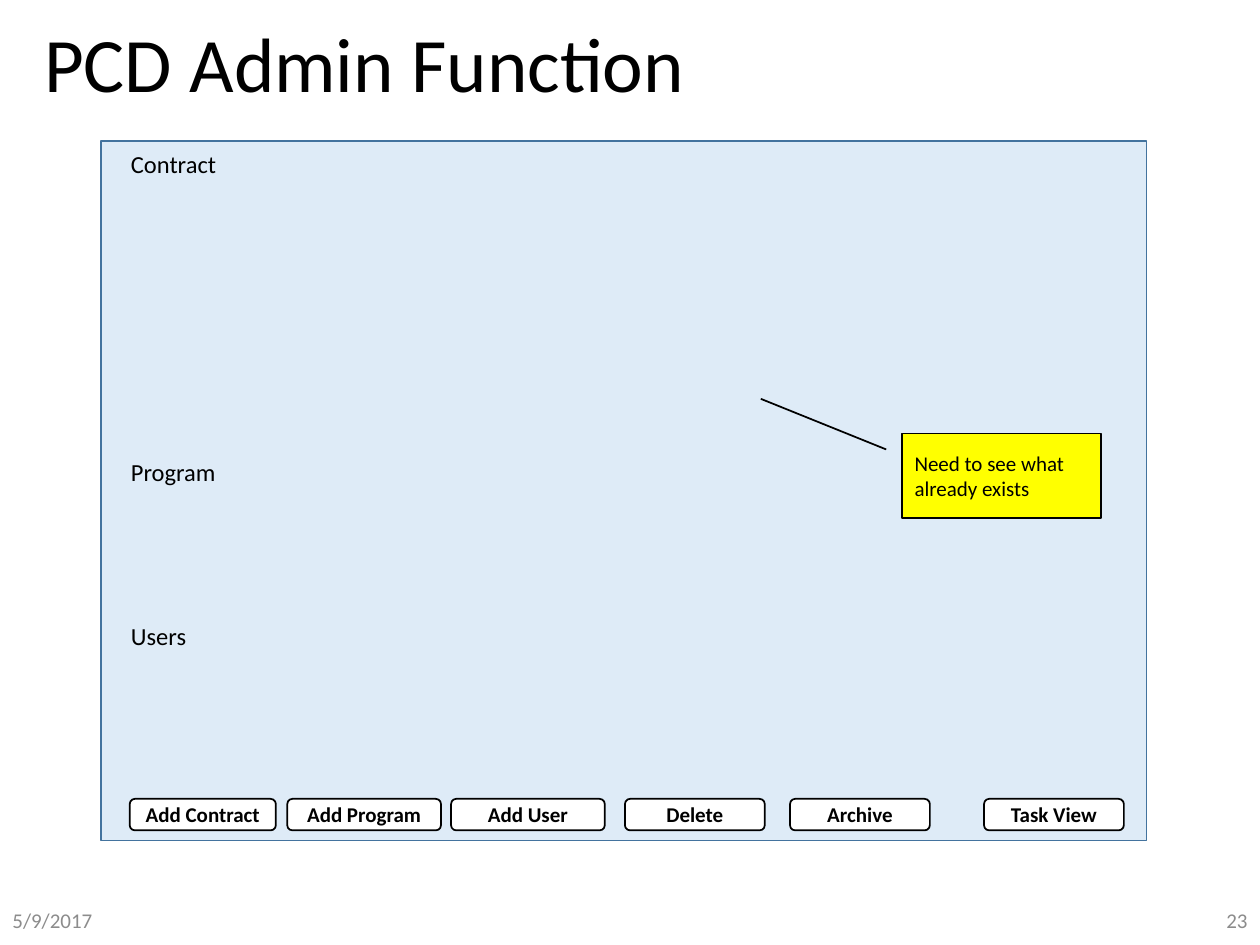
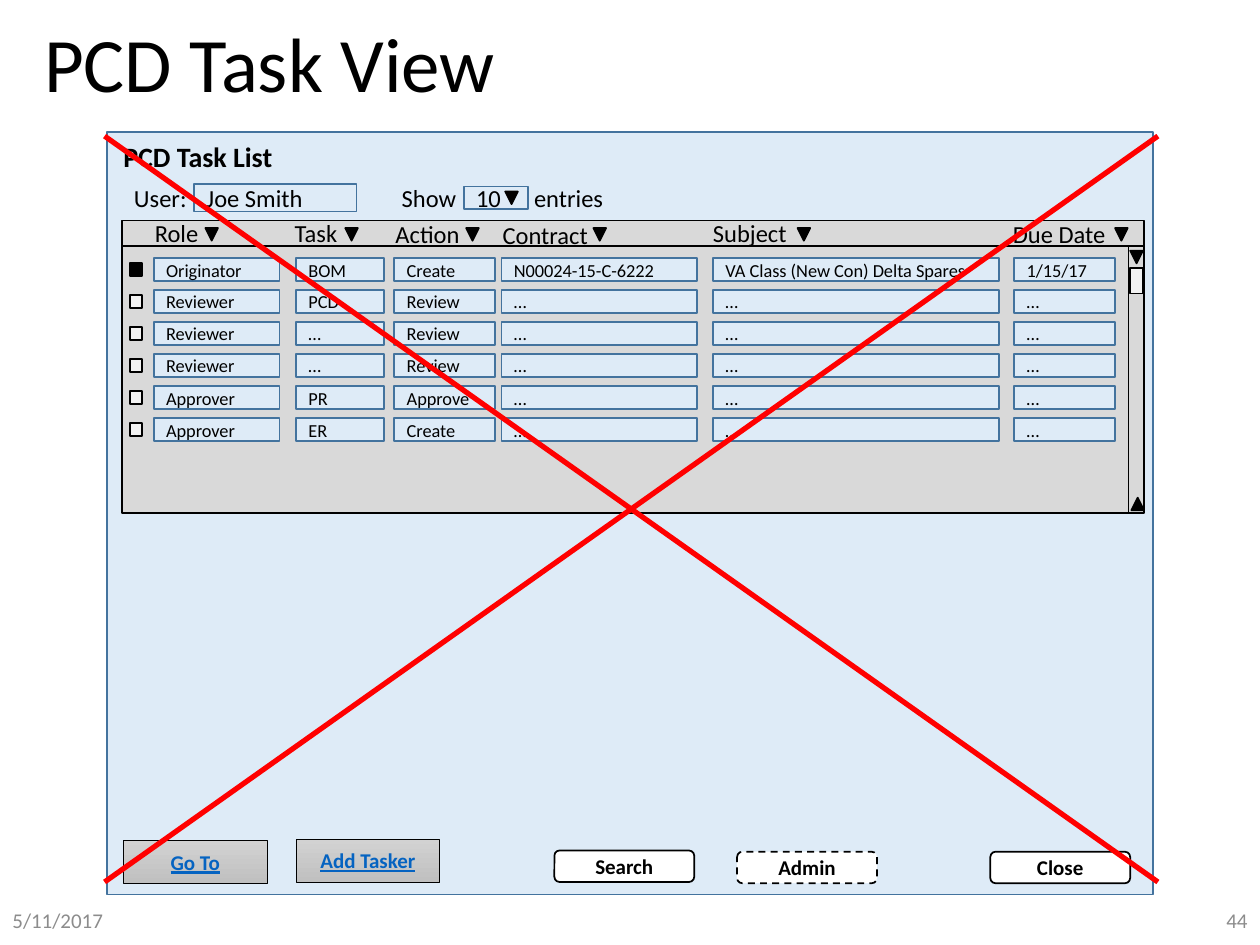
from dataclasses import dataclass

from lxml import etree
from pptx import Presentation
from pptx import util as u
from pptx.dml.color import RGBColor
from pptx.enum import dml, shapes, text
from pptx.oxml.ns import qn

# Grid: the slide is 10 columns wide and 7.5 rows high
COLUMNS, ROWS = 10, 7.5
CELL = u.Inches(1)
SHAPE = shapes.MSO_SHAPE
ALIGN = text.PP_ALIGN
MIDDLE, TOP = text.MSO_ANCHOR.MIDDLE, text.MSO_ANCHOR.TOP


@dataclass(frozen=True)
class Theme:
    font: str = "Calibri"
    black: str = "000000"
    white: str = "FFFFFF"
    panel: str = "DEEBF7"
    edge: str = "43739E"
    grid: str = "D9D9D9"
    control: str = "F2F2F2"
    muted: str = "8C8C8C"
    note: str = "FFFF00"
    link: str = "0563C1"
    cross: str = "FF0000"
    button_top: str = "D2D2D2"
    button_bottom: str = "C0C0C0"
    title_size: float = 44
    heading_size: float = 16
    label_size: float = 14
    small_size: float = 12
    field_size: float = 10.5


THEME = Theme()


# Basic helpers
def color(value):
    return RGBColor.from_string(value)


def cells(*lengths):
    return [round(length * CELL) for length in lengths]


def write(box, words, size, ink=THEME.black, align=ALIGN.LEFT, anchor=MIDDLE,
          bold=False, underline=False):
    frame = box.text_frame
    frame.word_wrap = True
    frame.vertical_anchor = anchor
    frame.text = words
    para = frame.paragraphs[0]
    para.alignment = align
    para.font.name = THEME.font
    para.font.size = u.Pt(size)
    para.font.bold = bold
    para.font.underline = underline
    para.font.color.rgb = color(ink)
    return para


def add_box(page, kind, at, fill, line=THEME.black, weight=1):
    box = page.shapes.add_shape(kind, *cells(*at))
    box.shadow.inherit = False
    box.fill.solid()
    box.fill.fore_color.rgb = color(fill)
    if line:
        box.line.color.rgb = color(line)
        box.line.width = u.Pt(weight)
    else:
        box.line.fill.background()
    return box


def add_line(page, start, end, ink=THEME.black, weight=1):
    line = page.shapes.add_connector(shapes.MSO_CONNECTOR.STRAIGHT,
                                     *cells(*start, *end))
    line.line.color.rgb = color(ink)
    line.line.width = u.Pt(weight)
    etree.SubElement(line._element.spPr, qn("a:effectLst"))


def add_text(page, words, at, size, **style):
    box = page.shapes.add_textbox(*cells(*at))
    write(box, words, size, **style)
    return box


# Elements of the mock-up screens
def add_page(deck, title, date, number):
    page = deck.slides.add_slide(deck.slide_layouts[5])
    heading = page.shapes.title
    heading.left, heading.top, heading.width, heading.height = cells(
        0.25, 0.1, 9.4, 0.87)
    write(heading, title, THEME.title_size).line_spacing = 0.9
    for words, left, align in ((date, 0, ALIGN.LEFT),
                               (number, COLUMNS - 2.25, ALIGN.RIGHT)):
        add_text(page, words, (left, ROWS - 0.4, 2.25, 0.4), THEME.small_size,
                 ink=THEME.muted, align=align)
    return page


def add_panel(page, at):
    add_box(page, SHAPE.RECTANGLE, at, THEME.panel, THEME.edge)


def add_label(page, words, left, top, width, size=THEME.label_size,
              bold=False, align=ALIGN.LEFT):
    box = add_text(page, words, (left, top, width, 0.34), size,
                   anchor=TOP, bold=bold, align=align)
    if align == ALIGN.RIGHT:
        box.text_frame.margin_left = 0


def add_section(page, words, left, top):
    box = add_box(page, SHAPE.RECTANGLE, (left, top, 0.95, 0.34),
                  THEME.panel, line=None)
    write(box, words, THEME.label_size, anchor=TOP)


def add_field(page, words, at, size=THEME.field_size):
    box = add_box(page, SHAPE.RECTANGLE, at, THEME.panel, THEME.edge)
    write(box, words, size)


def add_button(page, words, left, top, width=1.11, dashed=False):
    box = add_box(page, SHAPE.ROUNDED_RECTANGLE, (left, top, width, 0.25),
                  THEME.white)
    if dashed:
        box.line.dash_style = dml.MSO_LINE.DASH
    write(box, words, THEME.small_size, align=ALIGN.CENTER, bold=True)


def add_link_button(page, words, left, top):
    box = add_box(page, SHAPE.ACTION_BUTTON_CUSTOM, (left, top, 1.14, 0.34),
                  THEME.button_top, weight=0.5)
    box.fill.gradient()
    box.fill.gradient_angle = 270
    ends = ((0, THEME.button_top), (1, THEME.button_bottom))
    for stop, (position, shade) in zip(box.fill.gradient_stops, ends):
        stop.position = position
        stop.color.rgb = color(shade)
    write(box, words, THEME.small_size, ink=THEME.link, align=ALIGN.CENTER,
          bold=True, underline=True)


def add_triangle(page, left, top, down=True):
    arrow = add_box(page, SHAPE.ISOSCELES_TRIANGLE, (left, top, 0.1, 0.1),
                    THEME.black)
    arrow.rotation = 180 if down else 0


def add_callout(page, words, at, leader):
    box = add_box(page, SHAPE.LINE_CALLOUT_1, at, THEME.note)
    for index, share in enumerate(leader):
        box.adjustments[index] = share
    write(box, words, THEME.small_size)


# Task table: heading, its left, top and width, arrow left, field left and width
TASK_COLUMNS = (
    ("Role", 1.13, 1.68, 0.91, 1.63, 1.22, 1),
    ("Task", 2.24, 1.68, 1.25, 2.74, 2.35, 0.7),
    ("Action", 3.04, 1.69, 1.25, 3.7, 3.13, 0.8),
    ("Contract", 3.89, 1.7, 1, 4.71, 3.98, 1.55),
    ("Subject", 5.56, 1.68, 0.8, 6.33, 5.66, 2.27),
    ("Due Date", 7.94, 1.69, 1.02, 8.85, 8.05, 0.8),
)
TASKS = (
    ("Originator", "BOM", "Create", "N00024-15-C-6222",
     "VA Class (New Con) Delta Spares", "1/15/17"),
    ("Reviewer", "PCD", "Review", "…", "…", "…"),
    ("Reviewer", "…", "Review", "…", "…", "…"),
    ("Reviewer", "…", "Review", "…", "…", "…"),
    ("Approver", "PR", "Approve", "…", "…", "…"),
    ("Approver", "ER", "Create", "…", "…", "…"),
)
FIRST_TASK, LAST_TASK = 2.05, 3.32


def add_task_table(page):
    left, top, right, bottom, rule, scroll = 0.97, 1.75, 9.08, 4.07, 1.95, 8.96
    add_box(page, SHAPE.FLOWCHART_PROCESS,
            (left, top, right - left, bottom - top), THEME.grid)
    add_line(page, (left, rule), (right, rule))

    # Headings with sort arrows
    for words, label_left, label_top, width, arrow, _, _ in TASK_COLUMNS:
        add_label(page, words, label_left, label_top, width)
        add_triangle(page, arrow, 1.81)

    # Scroll bar
    add_line(page, (scroll, rule), (scroll, bottom), weight=0.5)
    add_triangle(page, 8.97, 1.99)
    add_triangle(page, 8.98, 3.95, down=False)
    add_box(page, SHAPE.FLOWCHART_PROCESS, (8.97, 2.13, 0.1, 0.2), THEME.control)

    # Check boxes and fields, the first task being ticked
    pitch = (LAST_TASK - FIRST_TASK) / (len(TASKS) - 1)
    for row, task in enumerate(TASKS):
        row_top = FIRST_TASK + row * pitch
        add_box(page, SHAPE.FLOWCHART_PROCESS, (1.03, row_top + 0.04, 0.1, 0.1),
                THEME.control if row else THEME.black)
        for words, (*_, field_left, width) in zip(task, TASK_COLUMNS):
            add_field(page, words, (field_left, row_top, width, 0.18))


# Pages
def build_admin(deck):
    page = add_page(deck, "PCD Admin Function", "5/9/2017", "23")
    add_panel(page, (0.8, 1.12, 8.3, 5.55))
    for words, top in (("Contract", 1.13), ("Program", 3.58), ("Users", 4.88)):
        add_section(page, words, 0.94, top)
    for words, left, width in (("Add Contract", 1.03, 1.16),
                               ("Add Program", 2.28, 1.22),
                               ("Add User", 3.58, 1.22),
                               ("Delete", 4.96, 1.11),
                               ("Archive", 6.27, 1.11),
                               ("Task View", 7.81, 1.11)):
        add_button(page, words, left, 6.34, width)
    add_callout(page, "Need to see what already exists",
                (7.16, 3.44, 1.58, 0.67), (0.19, -0.08, -0.41, -0.71))


def build_tasks(deck):
    page = add_page(deck, "PCD Task View", "5/11/2017", "44")
    add_panel(page, (0.85, 1.05, 8.3, 6.05))
    add_label(page, "PCD Task List", 0.88, 1.06, 4.12, THEME.heading_size,
              bold=True)

    # User and page-length controls
    add_label(page, "User:", 0.96, 1.4, 0.62, align=ALIGN.RIGHT)
    add_field(page, "Joe Smith", (1.54, 1.46, 1.29, 0.22), THEME.label_size)
    add_label(page, "Show", 3.02, 1.4, 0.7, align=ALIGN.RIGHT)
    add_field(page, "10", (3.68, 1.48, 0.51, 0.18), THEME.label_size)
    add_triangle(page, 4.01, 1.52)
    add_label(page, "entries", 4.14, 1.4, 0.77)

    add_task_table(page)

    # Buttons
    add_link_button(page, "Go To", 0.98, 6.67)
    add_link_button(page, "Add Tasker", 2.35, 6.66)
    add_button(page, "Search", 4.4, 6.75)
    add_button(page, "Admin", 5.85, 6.76, dashed=True)
    add_button(page, "Close", 7.86, 6.76)

    # Cross over the whole screen
    for start, end in ((1.08, 7), (7, 1.08)):
        add_line(page, (0.83, start), (9.19, end), THEME.cross, 3)


def main():
    deck = Presentation()
    deck.slide_width, deck.slide_height = cells(COLUMNS, ROWS)
    build_admin(deck)
    build_tasks(deck)
    deck.save("out.pptx")


if __name__ == "__main__":
    main()
